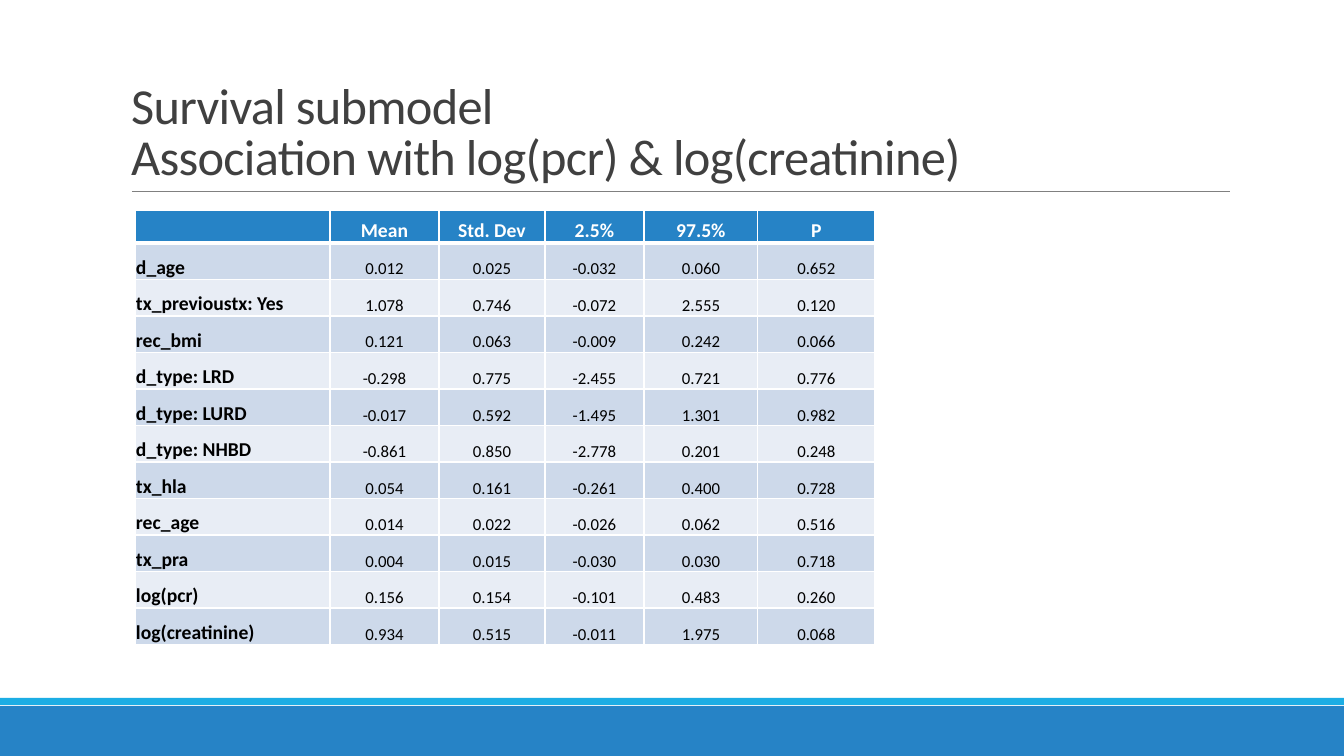
from lxml.etree import SubElement
from pptx import Presentation
from pptx.dml.color import RGBColor
from pptx.enum.shapes import MSO_CONNECTOR, MSO_SHAPE
from pptx.enum.text import MSO_ANCHOR, MSO_AUTO_SIZE, PP_ALIGN
from pptx.oxml import parse_xml
from pptx.oxml.ns import nsdecls, qn
from pptx.util import Pt

SCALE = 914400 / 100.8
COLORS = {"blue": "2683C6", "cyan": "1CADE4", "rule": "808080", "title": "404040",
          "odd": "CDD9EA", "even": "E8EDF5", "white": "FFFFFF", "black": "000000"}


def px(*lengths):
    return [round(length * SCALE) for length in lengths]


def rgb(name):
    return RGBColor.from_string(COLORS[name])


prs = Presentation()
prs.slide_width, prs.slide_height = px(1344, 756)
slide = prs.slides.add_slide(prs.slide_layouts[5])

# Footer bands
for top, height, color in [(706, 50, "blue"), (698, 7, "cyan")]:
    band = slide.shapes.add_shape(MSO_SHAPE.RECTANGLE, *px(0, top, 1344, height))
    band.shadow.inherit = False
    band.fill.solid()
    band.fill.fore_color.rgb = rgb(color)
    band.line.fill.background()

# Rule under the title
rule = slide.shapes.add_connector(MSO_CONNECTOR.STRAIGHT, *px(132, 191, 1230, 191))
rule.line.color.rgb = rgb("rule")
rule.line.width = Pt(0.5)
SubElement(rule._element.spPr, qn("a:effectLst"))

# Title
title = slide.shapes.title
title.left, title.top, title.width, title.height = px(121, 31, 1109, 160)
heading = title.text_frame
heading.text = "Survival submodel \vAssociation with log(pcr) & log(creatinine)"
heading.word_wrap = True
heading.auto_size = MSO_AUTO_SIZE.NONE
heading.vertical_anchor = MSO_ANCHOR.BOTTOM
heading.paragraphs[0].alignment = PP_ALIGN.LEFT
heading.paragraphs[0].line_spacing = 0.85
for run in heading.paragraphs[0].runs:
    run.font.name = "Calibri"
    run.font.size = Pt(36)
    run.font.color.rgb = rgb("title")
    run._r.get_or_add_rPr().set("spc", "-50")

# Coefficient table
rows = [
    ("", "Mean", "Std. Dev", "2.5%", "97.5%", "P"),
    ("d_age", "0.012", "0.025", "-0.032", "0.060", "0.652"),
    ("tx_previoustx: Yes", "1.078", "0.746", "-0.072", "2.555", "0.120"),
    ("rec_bmi", "0.121", "0.063", "-0.009", "0.242", "0.066"),
    ("d_type: LRD", "-0.298", "0.775", "-2.455", "0.721", "0.776"),
    ("d_type: LURD", "-0.017", "0.592", "-1.495", "1.301", "0.982"),
    ("d_type: NHBD", "-0.861", "0.850", "-2.778", "0.201", "0.248"),
    ("tx_hla", "0.054", "0.161", "-0.261", "0.400", "0.728"),
    ("rec_age", "0.014", "0.022", "-0.026", "0.062", "0.516"),
    ("tx_pra", "0.004", "0.015", "-0.030", "0.030", "0.718"),
    ("log(pcr)", "0.156", "0.154", "-0.101", "0.483", "0.260"),
    ("log(creatinine)", "0.934", "0.515", "-0.011", "1.975", "0.068"),
]
column_widths = px(195, 109, 106, 99, 114, 117)
row_heights = px(33, *[402 / 11] * 11)
coefficients = slide.shapes.add_table(len(rows), len(column_widths), *px(135, 210, 740, 435)).table
for column, width in zip(coefficients.columns, column_widths):
    column.width = width

for r, values in enumerate(rows):
    coefficients.rows[r].height = row_heights[r]
    for c, value in enumerate(values):
        cell = coefficients.cell(r, c)
        cell.text = value
        cell.vertical_anchor = MSO_ANCHOR.BOTTOM
        cell.margin_left, cell.margin_top, cell.margin_right, cell.margin_bottom = px(1, 1, 1, 0)

        # White borders, thicker between the header and the body
        for side in "LRTB":
            thick = (r, side) in [(0, "B"), (1, "T")]
            cell._tc.get_or_add_tcPr().append(parse_xml(
                f'<a:ln{side} {nsdecls("a")} w="{Pt(3 if thick else 1)}"><a:solidFill>'
                f'<a:srgbClr val="{COLORS["white"]}"/></a:solidFill></a:ln{side}>'))
        cell.fill.solid()
        cell.fill.fore_color.rgb = rgb("blue" if r == 0 else "odd" if r % 2 else "even")

        paragraph = cell.text_frame.paragraphs[0]
        is_label = r == 0 or c == 0
        paragraph.alignment = PP_ALIGN.LEFT if c == 0 else PP_ALIGN.CENTER
        for run in paragraph.runs:
            run.font.name = "Calibri"
            run.font.size = Pt(14 if is_label else 12)
            run.font.bold = is_label
            run.font.color.rgb = rgb("white" if r == 0 else "black")

prs.save("out.pptx")
